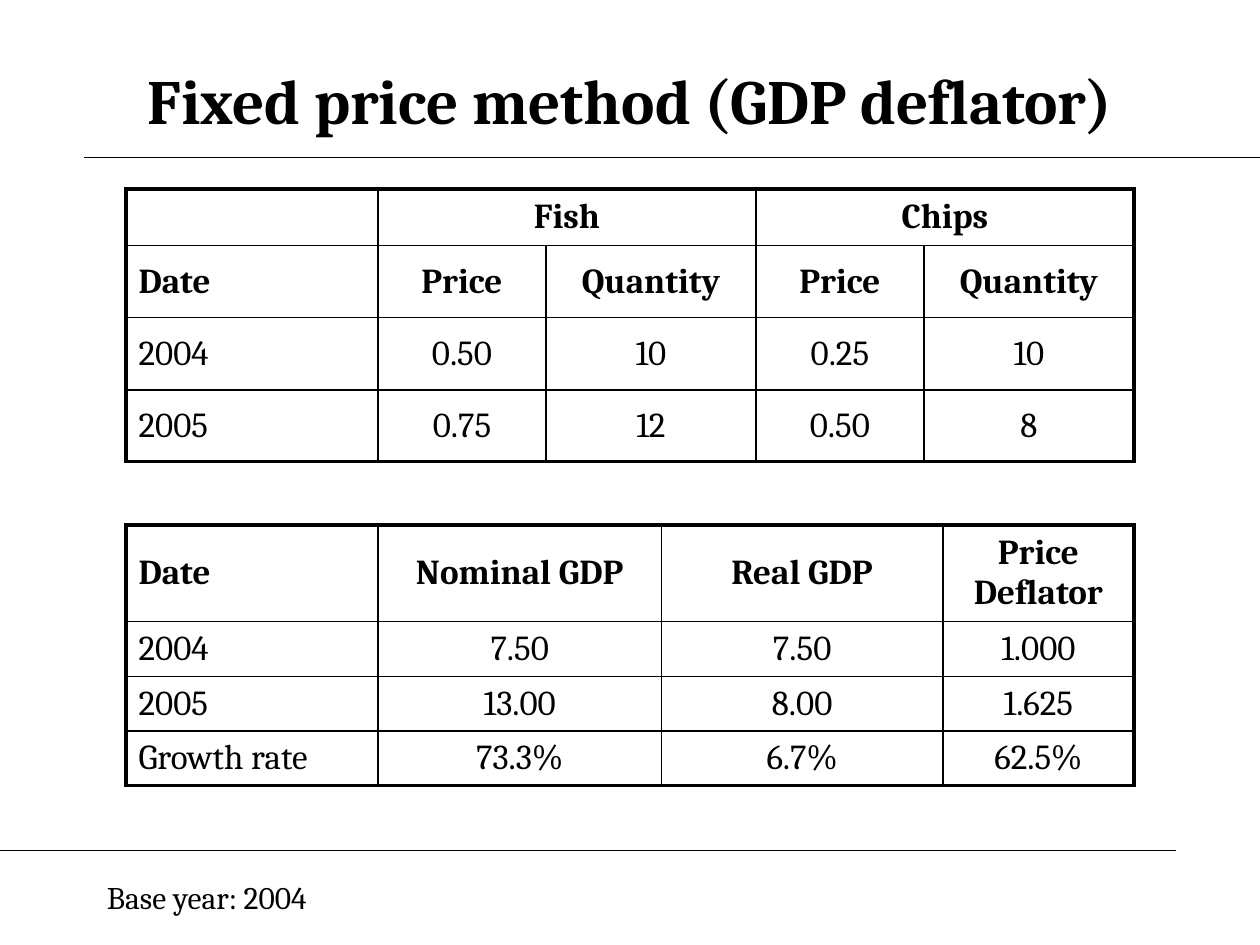
from dataclasses import dataclass

from pptx import Presentation
from pptx.dml.color import RGBColor
from pptx.enum.shapes import MSO_CONNECTOR
from pptx.enum.text import MSO_ANCHOR, PP_ALIGN
from pptx.oxml.ns import qn
from pptx.util import Inches, Pt
from lxml.etree import SubElement


@dataclass(frozen=True)
class Theme:
    font: str = "Cambria"
    ink: str = "000000"
    title: int = 36
    table: int = 20
    note: int = 18
    rule: float = 0.75
    inner: float = 1
    outer: float = 2.25


class SlideBuilder:
    COLUMNS = 120
    ROWS = 90

    def __init__(self, deck, theme):
        self.deck = deck
        self.theme = theme
        self.page = deck.slides.add_slide(deck.slide_layouts[6])

    def x(self, columns):
        return round(self.deck.slide_width * columns / self.COLUMNS)

    def y(self, rows):
        return round(self.deck.slide_height * rows / self.ROWS)

    def set_text(self, frame, text, size, bold=False, align=PP_ALIGN.LEFT):
        para = frame.paragraphs[0]
        para.text = text
        para.alignment = align
        para.font.name = self.theme.font
        para.font.size = Pt(size)
        para.font.bold = bold
        para.font.color.rgb = RGBColor.from_string(self.theme.ink)

    def text(self, left, top, width, height, text, size,
             bold=False, align=PP_ALIGN.LEFT, anchor=MSO_ANCHOR.TOP):
        box = self.page.shapes.add_textbox(
            self.x(left), self.y(top), self.x(width), self.y(height))
        box.text_frame.word_wrap = True
        box.text_frame.vertical_anchor = anchor
        self.set_text(box.text_frame, text, size, bold, align)

    def rule(self, start, end, row):
        line = self.page.shapes.add_connector(
            MSO_CONNECTOR.STRAIGHT,
            self.x(start), self.y(row), self.x(end), self.y(row))
        line.line.width = Pt(self.theme.rule)
        line.line.color.rgb = RGBColor.from_string(self.theme.ink)
        SubElement(line._element.spPr, qn("a:effectLst"))

    def border(self, cell, side, is_outer):
        width = self.theme.outer if is_outer else self.theme.inner
        edge = SubElement(cell._tc.get_or_add_tcPr(), qn(f"a:ln{side}"),
                          w=str(Pt(width)))
        fill = SubElement(edge, qn("a:solidFill"))
        SubElement(fill, qn("a:srgbClr"), val=self.theme.ink)

    def table(self, left, top, widths, heights, content, header_rows):
        last_row, last_column = len(heights) - 1, len(widths) - 1
        grid = self.page.shapes.add_table(
            len(heights), len(widths), self.x(left), self.y(top),
            self.x(sum(widths)), self.y(sum(heights))).table
        grid.first_row = False
        grid.horz_banding = False
        for column, width in zip(grid.columns, widths):
            column.width = self.x(width)
        for row, height in zip(grid.rows, heights):
            row.height = self.y(height)
        for r, values in enumerate(content):
            for c, value in enumerate(values):
                if value is None:
                    grid.cell(r, c - 1).merge(grid.cell(r, c))
        for r, values in enumerate(content):
            for c, value in enumerate(values):
                cell = grid.cell(r, c)
                right = c + cell.span_width - 1 if cell.is_merge_origin else c
                if not cell.is_spanned:
                    self.border(cell, "L", c == 0)
                self.border(cell, "R", right == last_column)
                self.border(cell, "T", r == 0)
                self.border(cell, "B", r == last_row)
                cell.fill.background()
                cell.vertical_anchor = MSO_ANCHOR.MIDDLE
                if value:
                    align = PP_ALIGN.CENTER if c else PP_ALIGN.LEFT
                    self.set_text(cell.text_frame, value, self.theme.table,
                                  r < header_rows, align)


def main():
    deck = Presentation()
    deck.slide_width, deck.slide_height = Inches(10), Inches(7.5)
    theme = Theme()
    slide = SlideBuilder(deck, theme)

    slide.rule(8, 120, 15)
    slide.rule(0, 112, 81)
    slide.text(6, 4, 108, 11, "Fixed price method (GDP deflator)", theme.title,
               bold=True, align=PP_ALIGN.CENTER, anchor=MSO_ANCHOR.MIDDLE)

    slide.table(12, 18, [24] + [16, 20] * 2, [5.4] + [6.86] * 3, [
        ["", "Fish", None, "Chips", None],
        ["Date"] + ["Price", "Quantity"] * 2,
        ["2004", "0.50", "10", "0.25", "10"],
        ["2005", "0.75", "12", "0.50", "8"],
    ], header_rows=2)

    slide.table(12, 50, [24, 27, 26.8, 18.2], [8.88] + [5.04] * 3, [
        ["Date", "Nominal GDP", "Real GDP", "Price Deflator"],
        ["2004", "7.50", "7.50", "1.000"],
        ["2005", "13.00", "8.00", "1.625"],
        ["Growth rate", "73.3%", "6.7%", "62.5%"],
    ], header_rows=1)

    slide.text(9, 83, 63, 4.8, "Base year: 2004", theme.note)
    deck.save("out.pptx")


if __name__ == "__main__":
    main()
